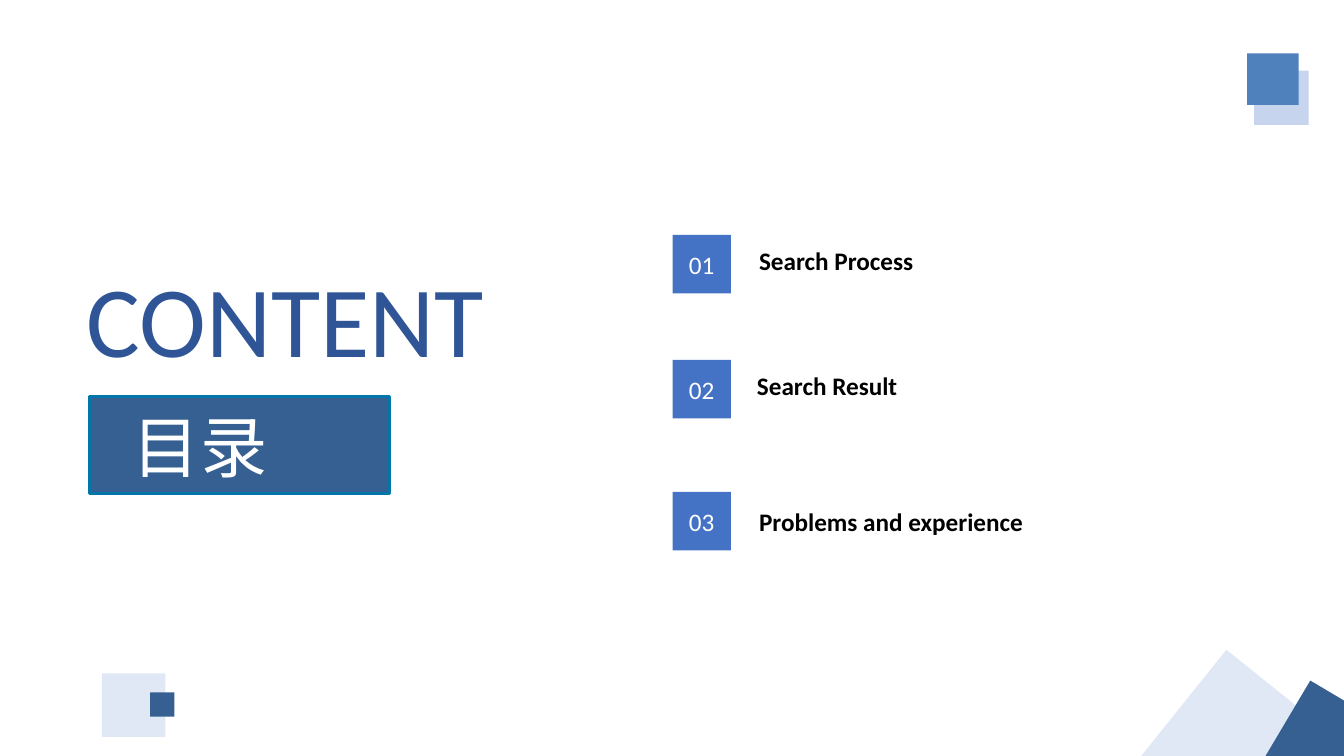
"""Build a contents slide with numbered sections and decorative squares."""
from dataclasses import dataclass

from lxml import etree
from pptx import Presentation
from pptx.dml.color import RGBColor
from pptx.enum.shapes import MSO_SHAPE
from pptx.enum.text import MSO_ANCHOR, MSO_AUTO_SIZE, PP_ALIGN
from pptx.oxml.ns import qn
from pptx.shapes.autoshape import Shape
from pptx.slide import Slide
from pptx.util import Inches, Pt

RECTANGLE = MSO_SHAPE.RECTANGLE
TOP, MIDDLE = MSO_ANCHOR.TOP, MSO_ANCHOR.MIDDLE
LEFT, CENTER, JUSTIFY = PP_ALIGN.LEFT, PP_ALIGN.CENTER, PP_ALIGN.JUSTIFY
GROW, FIXED = MSO_AUTO_SIZE.SHAPE_TO_FIT_TEXT, MSO_AUTO_SIZE.NONE
TITLE_ONLY = 5
FONT = "Calibri"
BADGE_LEFT, BADGE_SIZE = 6.67, 0.58
COLORS = {
    "title": "2F5597",
    "navy": "376092",
    "outline": "0076A9",
    "badge": "4472C4",
    "pale": "C7D4ED",
    "steel": "4F81BD",
    "white": "FFFFFF",
    "black": "000000",
}


@dataclass(frozen=True)
class Box:
    """Position and size in inches."""

    left: float
    top: float
    width: float
    height: float


@dataclass(frozen=True)
class Section:
    """A contents entry: its name, badge top and label box."""

    name: str
    badge_top: float
    label: Box


@dataclass(frozen=True)
class Square:
    """A decorative square."""

    left: float
    top: float
    size: float
    color: str
    rotation: float = 0
    opacity: int = 100


SECTIONS = [
    Section("Search Process", 2.33, Box(7.43, 2.38, 2.81, 0.4)),
    Section("Search Result", 3.57, Box(7.41, 3.62, 3.63, 0.71)),
    Section("Problems and experience", 4.88, Box(7.43, 4.97, 3.32, 0.4)),
]
SQUARES = [
    Square(12.44, 0.7, 0.54, "pale"),
    Square(11.53, 6.75, 1.5, "pale", 308.7, 53),
    Square(1.01, 6.68, 0.63, "pale", opacity=53),
    Square(1.49, 6.87, 0.24, "navy"),
    Square(12.37, 0.53, 0.51, "steel"),
    Square(12.7, 6.92, 0.91, "navy", 300.7),
]


def place(shape: Shape, box: Box) -> None:
    """Move and size a shape."""
    shape.left, shape.top = Inches(box.left), Inches(box.top)
    shape.width, shape.height = Inches(box.width), Inches(box.height)


def write(shape: Shape, text: str, size: int, color: str, align: PP_ALIGN,
          anchor: MSO_ANCHOR = TOP, fit: MSO_AUTO_SIZE = GROW,
          bold: bool = False, line_spacing: float = 1.0) -> None:
    """Write one formatted run into a shape."""
    frame = shape.text_frame
    frame.word_wrap = True
    frame.auto_size = fit
    frame.vertical_anchor = anchor
    paragraph = frame.paragraphs[0]
    paragraph.alignment = align
    paragraph.line_spacing = line_spacing
    run = paragraph.add_run()
    run.text = text
    run.font.name = FONT
    run.font.size = Pt(size)
    run.font.bold = bold
    run.font.color.rgb = RGBColor.from_string(COLORS[color])


def add_text(slide: Slide, box: Box, text: str, size: int, color: str,
             align: PP_ALIGN, bold: bool = False) -> None:
    """Add a text box."""
    shape = slide.shapes.add_textbox(0, 0, 0, 0)
    write(shape, text, size, color, align, bold=bold)
    place(shape, box)


def add_rectangle(slide: Slide, box: Box, color: str) -> Shape:
    """Add a filled rectangle without outline or shadow."""
    shape = slide.shapes.add_shape(RECTANGLE, 0, 0, 0, 0)
    place(shape, box)
    shape.shadow.inherit = False
    shape.fill.solid()
    shape.fill.fore_color.rgb = RGBColor.from_string(COLORS[color])
    shape.line.fill.background()
    return shape


def add_heading(slide: Slide) -> None:
    """Fill the title and add the outlined subtitle panel."""
    title = slide.shapes.title
    write(title, "CONTENT", 72, "title", JUSTIFY, line_spacing=0.9)
    place(title, Box(0.76, 2.63, 5.26, 1.19))
    panel = add_rectangle(slide, Box(0.89, 3.93, 2.97, 0.97), "navy")
    panel.line.color.rgb = RGBColor.from_string(COLORS["outline"])
    panel.line.width = Pt(2)
    add_text(slide, Box(1.22, 3.97, 2.25, 0.91), "目录", 48, "white", JUSTIFY)


def add_section(slide: Slide, number: int, section: Section) -> None:
    """Add a numbered badge and its label."""
    box = Box(BADGE_LEFT, section.badge_top, BADGE_SIZE, BADGE_SIZE)
    badge = add_rectangle(slide, box, "badge")
    write(badge, f"{number:02d}", 18, "white", CENTER, MIDDLE, FIXED)
    add_text(slide, section.label, section.name, 18, "black", LEFT, bold=True)


def add_square(slide: Slide, square: Square) -> None:
    """Add a decorative square, rotated and translucent as described."""
    box = Box(square.left, square.top, square.size, square.size)
    shape = add_rectangle(slide, box, square.color)
    shape.rotation = square.rotation
    if square.opacity < 100:
        color = shape.fill._xPr.find(qn("a:solidFill")).find(qn("a:srgbClr"))
        etree.SubElement(color, qn("a:alpha"), val=str(square.opacity * 1000))


def main() -> None:
    """Build and save the presentation."""
    presentation = Presentation()
    presentation.slide_width = Inches(13.33)
    presentation.slide_height = Inches(7.5)
    slide = presentation.slides.add_slide(presentation.slide_layouts[TITLE_ONLY])
    add_heading(slide)
    for number, section in enumerate(SECTIONS, start=1):
        add_section(slide, number, section)
    for square in SQUARES:
        add_square(slide, square)
    presentation.save("out.pptx")


if __name__ == "__main__":
    main()
